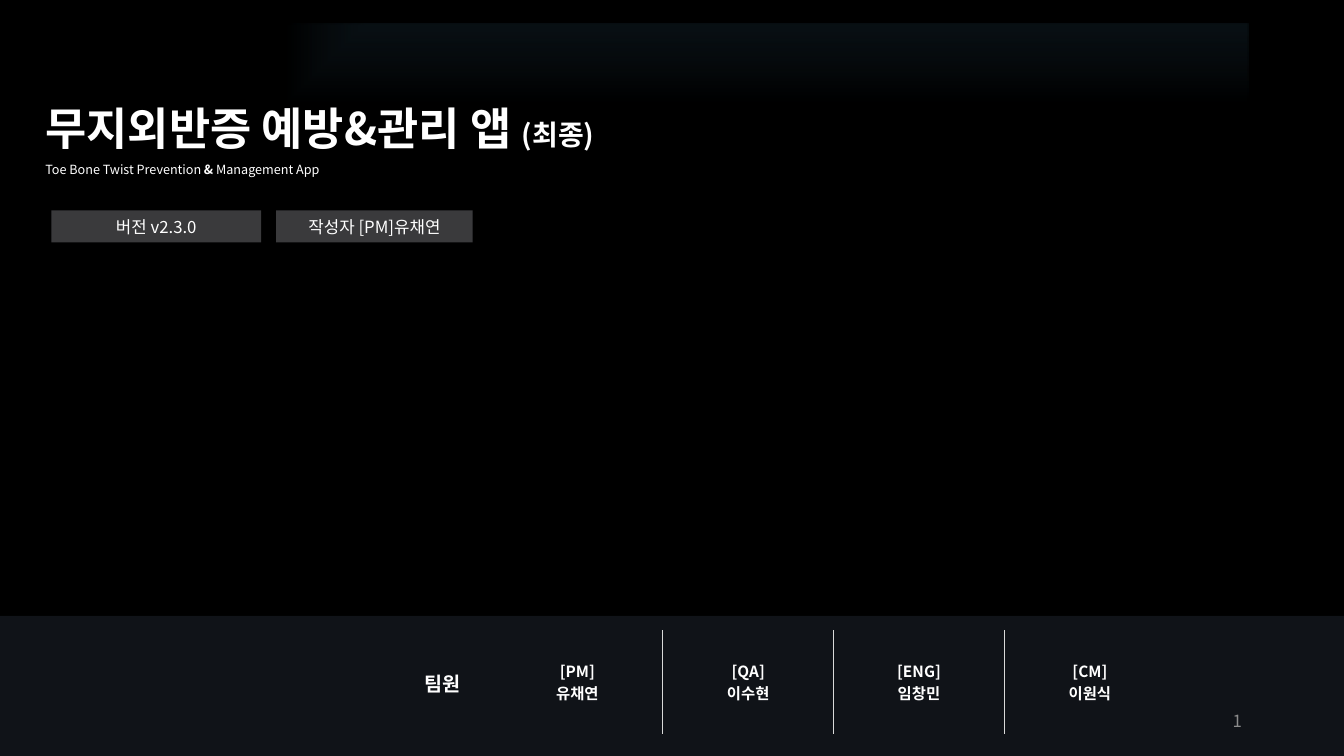
from dataclasses import dataclass

from lxml import etree
from pptx import Presentation
from pptx import util as u
from pptx.dml.color import RGBColor
from pptx.enum import shapes, text
from pptx.oxml import parse_xml
from pptx.oxml.ns import qn

TITLE_LINES = [
    [("무지외반증 예방&관리 앱 ", "title", True), ("(최종)", "stage", True)],
    [("Toe Bone Twist Prevention", "subtitle", False), (" & ", "subtitle", True),
     ("Management App", "subtitle", False)],
]
TAGS = [("버전 v2.3.0", 36.7, 149.8), ("작성자 [PM]유채연", 197.3, 140.4)]
TEAM_LABEL = "팀원"
TEAM = [("[PM]", "유채연"), ("[QA]", "이수현"), ("[ENG]", "임창민"), ("[CM]", "이원식")]
PAGE_NUMBER = "1"

SLIDE_W, SLIDE_H = 960, 540
BAND_TOP = 440
TEAM_AREA = (351.4, 450, 488.2, 74)


@dataclass(frozen=True)
class Theme:
    font: str = "Noto Sans CJK KR"
    black: str = "000000"
    white: str = "FFFFFF"
    glow: str = "355F77"
    tag: str = "3A3A3C"
    band: str = "222A35"
    rule: str = "D9D9D9"
    number: str = "8C8C8C"
    sizes = {"title": 32, "stage": 20, "subtitle": 9, "tag": 12,
             "label": 14, "member": 11, "number": 12}


THEME = Theme()
A = 'xmlns:a="http://schemas.openxmlformats.org/drawingml/2006/main"'
ALIGN = text.PP_ALIGN
MIDDLE = text.MSO_ANCHOR.MIDDLE


def rgb(colour):
    return RGBColor.from_string(colour)


def points(*values):
    return [u.Pt(value) for value in values]


def apply(target, values):
    for name, value in values.items():
        setattr(target, name, value)


def write(frame, lines, align=ALIGN.LEFT, colour=THEME.white, spacing=None):
    """Fill a text frame; each line is a list of (text, size name, bold)."""
    for index, line in enumerate(lines):
        para = frame.add_paragraph() if index else frame.paragraphs[0]
        apply(para, {"alignment": align, "line_spacing": spacing})
        for words, size, bold in line:
            span = para.add_run()
            span.text = words
            apply(span.font, {"name": THEME.font, "size": u.Pt(THEME.sizes[size]), "bold": bold})
            span.font.color.rgb = rgb(colour)
            east_asian = etree.SubElement(span.font._element, qn("a:ea"))
            east_asian.set("typeface", THEME.font)


def add_rect(page, area, colour):
    box = page.shapes.add_shape(shapes.MSO_SHAPE.RECTANGLE, *points(*area))
    box.shadow.inherit = False
    box.line.fill.background()
    box.fill.solid()
    box.fill.fore_color.rgb = rgb(colour)
    return box


def add_glow(page):
    """Black cover whose top right corner fades to transparent blue."""
    box = add_rect(page, (-68.4, 16.6, SLIDE_W, SLIDE_H), THEME.black)
    gradient = parse_xml(
        f'<a:gradFill {A} rotWithShape="1"><a:gsLst>'
        f'<a:gs pos="0"><a:srgbClr val="{THEME.glow}"><a:alpha val="0"/></a:srgbClr></a:gs>'
        f'<a:gs pos="100000"><a:srgbClr val="{THEME.black}"/></a:gs></a:gsLst>'
        '<a:path path="rect"><a:fillToRect l="100000" b="100000"/></a:path></a:gradFill>')
    solid = box._element.spPr.find(qn("a:solidFill"))
    solid.getparent().replace(solid, gradient)


def add_title(page):
    title = page.shapes.title
    left, top, width, height = points(25.2, 49, 620, 79.9)
    apply(title, {"left": left, "top": top, "width": width, "height": height})
    apply(title.text_frame, {"word_wrap": True, "vertical_anchor": text.MSO_ANCHOR.TOP,
                             "auto_size": text.MSO_AUTO_SIZE.SHAPE_TO_FIT_TEXT})
    write(title.text_frame, TITLE_LINES, spacing=1.5)
    page.shapes._spTree.append(title._element)  # bring in front of the glow


def add_tags(page):
    for words, left, width in TAGS:
        box = add_rect(page, (left, 150.2, width, 23), THEME.tag)
        box.text_frame.vertical_anchor = MIDDLE
        write(box.text_frame, [[(words, "tag", False)]], ALIGN.CENTER)


def add_band(page):
    band = add_rect(page, (0, BAND_TOP, SLIDE_W, SLIDE_H - BAND_TOP), THEME.band)
    colour = band._element.spPr.find(qn("a:solidFill"))[0]
    etree.SubElement(colour, qn("a:alpha")).set("val", "47000")


def set_side_borders(cell, has_left, has_right):
    props = cell._tc.get_or_add_tcPr()
    visible = {"lnL": has_left, "lnR": has_right, "lnT": False, "lnB": False}
    for index, (side, shown) in enumerate(visible.items()):
        fill = (f'<a:solidFill><a:srgbClr val="{THEME.rule}"/></a:solidFill>'
                if shown else "<a:noFill/>")
        props.insert(index, parse_xml(f'<a:{side} {A} w="6350">{fill}</a:{side}>'))


def add_team(page):
    table = page.shapes.add_table(1, len(TEAM), *points(*TEAM_AREA)).table
    apply(table, {"first_row": False, "horz_banding": False})
    for index, member in enumerate(TEAM):
        table.columns[index].width = u.Pt(TEAM_AREA[2] / len(TEAM))
        cell = table.cell(0, index)
        cell.vertical_anchor = MIDDLE
        cell.fill.background()
        write(cell.text_frame, [[(words, "member", True)] for words in member], ALIGN.CENTER)
        set_side_borders(cell, index > 0, index < len(TEAM) - 1)


def add_label(page, area, words, size, bold, **style):
    box = page.shapes.add_textbox(*points(*area))
    apply(box.text_frame, {"word_wrap": True, "vertical_anchor": MIDDLE})
    write(box.text_frame, [[(words, size, bold)]], **style)


def main():
    deck = Presentation()
    apply(deck, {"slide_width": u.Pt(SLIDE_W), "slide_height": u.Pt(SLIDE_H)})
    page = deck.slides.add_slide(deck.slide_layouts[5])
    page.background.fill.solid()
    page.background.fill.fore_color.rgb = rgb(THEME.black)
    add_glow(page)
    add_title(page)
    add_tags(page)
    add_band(page)
    add_team(page)
    add_label(page, (295.9, 475.9, 75.6, 24.5), TEAM_LABEL, "label", True)
    add_label(page, (678.2, 500.4, 216, 28.8), PAGE_NUMBER, "number", False,
              align=ALIGN.RIGHT, colour=THEME.number)
    deck.save("out.pptx")


if __name__ == "__main__":
    main()
